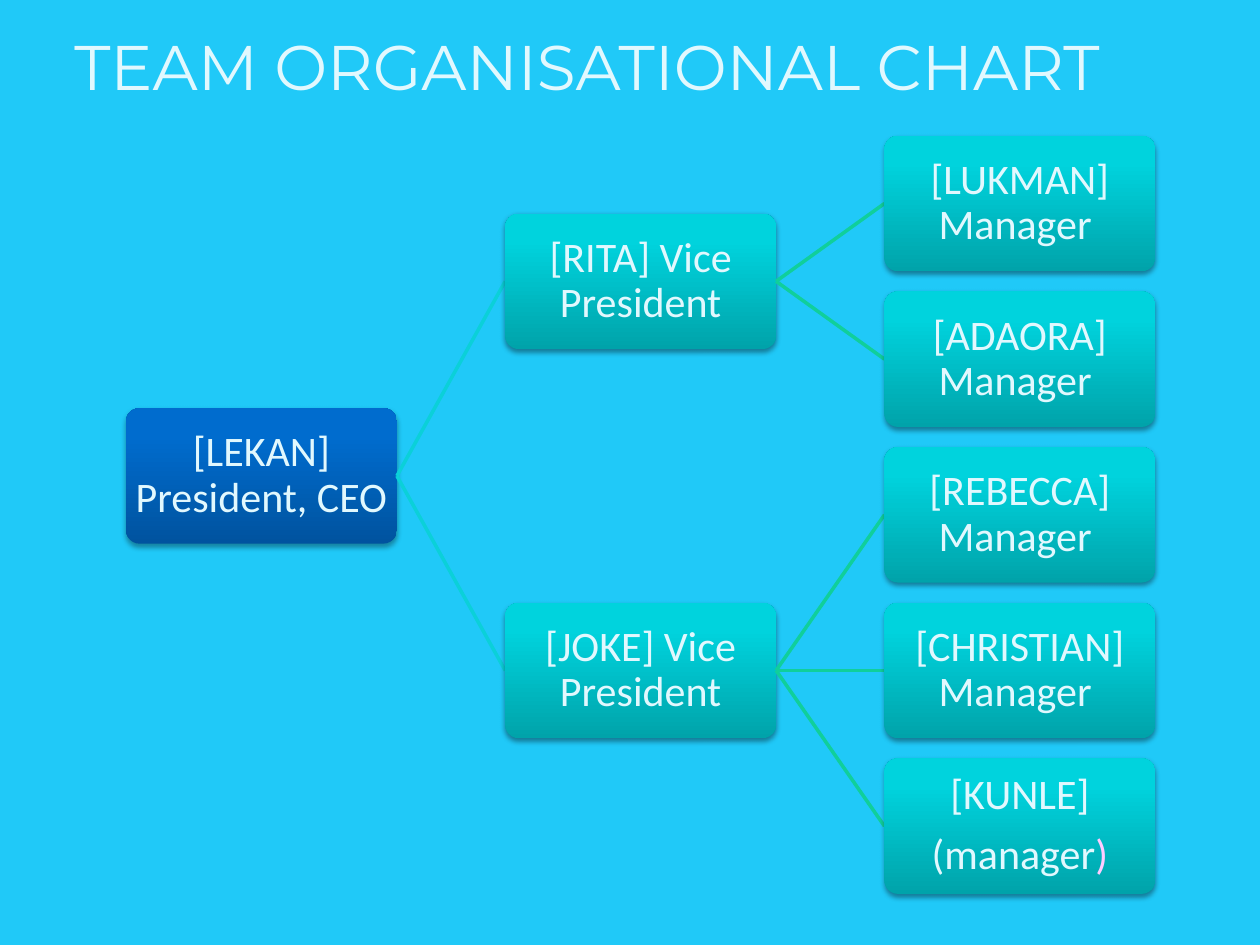
from dataclasses import dataclass

from lxml import etree
from pptx import Presentation
from pptx.dml.color import RGBColor
from pptx.enum import shapes, text
from pptx.oxml import ns
from pptx.util import Pt

COLORS = {
    "background": "20C9F8",
    "text": "E1F8FE",
    "accent": "FFCCFF",
    "president_link": "0BD0D9",
    "manager_link": "10CF9B",
}
BLUE = ("00539F", "006CCE", "006DCF")
TEAL = ("00A3AA", "00D3DD", "00D4DE")
STOPS = (0, 80, 100)

LEFT, TOP = 72, 77.6
COLUMN_STEP, ROW_STEP = 216.7, 88.95
BOX_WIDTH, BOX_HEIGHT = 154.8, 77.4


@dataclass
class Member:
    """One box; each paragraph is a list of (text, colour name) runs."""
    paragraphs: list
    reports: tuple = ()
    row: float = 0
    gradient: tuple = TEAL
    link: str = "manager_link"
    shadow: tuple = (1.6, 38)

    def __post_init__(self):
        if self.reports:
            self.row = (self.reports[0].row + self.reports[-1].row) / 2


def plain(label: str) -> list:
    return [[(label, "text")]]


def rgb(name: str) -> RGBColor:
    return RGBColor.from_string(COLORS[name])


def add_child(parent, tag: str, **attributes):
    return etree.SubElement(
        parent, ns.qn(tag), {key: str(value) for key, value in attributes.items()})


def set_gradient(shape, colors: tuple) -> None:
    """Fill upwards from the first colour, with three stops."""
    shape.fill.gradient()
    shape.fill.gradient_angle = 90
    stops = shape._element.spPr.find(".//" + ns.qn("a:gsLst"))
    for stop in list(stops):
        stops.remove(stop)
    for position, color in zip(STOPS, colors):
        stop = add_child(stops, "a:gs", pos=position * 1000)
        add_child(stop, "a:srgbClr", val=color)


def set_shadow(shape, distance: float, opacity: int) -> None:
    shape.shadow.inherit = False
    effects = shape._element.spPr.find(ns.qn("a:effectLst"))
    shadow = add_child(effects, "a:outerShdw", blurRad=Pt(3.1), dist=Pt(distance),
                       dir=90 * 60000, algn="ctr", rotWithShape=0)
    color = add_child(shadow, "a:srgbClr", val="000000")
    add_child(color, "a:alpha", val=opacity * 1000)


def add_box(slide, member: Member, left: float, top: float) -> None:
    shape = slide.shapes.add_shape(
        shapes.MSO_SHAPE.ROUNDED_RECTANGLE,
        Pt(left), Pt(top), Pt(BOX_WIDTH), Pt(BOX_HEIGHT))
    shape.adjustments[0] = 0.1
    set_gradient(shape, member.gradient)
    shape.line.fill.background()
    set_shadow(shape, *member.shadow)

    frame = shape.text_frame
    frame.word_wrap = True
    frame.vertical_anchor = text.MSO_ANCHOR.MIDDLE
    frame.margin_left = frame.margin_right = Pt(1.3)
    frame.margin_top = frame.margin_bottom = Pt(1.3)
    for index, runs in enumerate(member.paragraphs):
        paragraph = frame.add_paragraph() if index else frame.paragraphs[0]
        paragraph.alignment = text.PP_ALIGN.CENTER
        paragraph.line_spacing = 0.9
        paragraph.space_after = Pt(8.4)
        paragraph.font.size = Pt(24)
        paragraph.font.name = "Calibri"
        for words, color in runs:
            run = paragraph.add_run()
            run.text = words
            run.font.color.rgb = rgb(color)


def add_link(slide, start: tuple, end: tuple, color: str) -> None:
    link = slide.shapes.add_connector(
        shapes.MSO_CONNECTOR.STRAIGHT, *(Pt(value) for value in start + end))
    link.line.color.rgb = rgb(color)
    link.line.width = Pt(2)
    add_child(link._element.spPr, "a:effectLst")


def draw_branch(slide, member: Member, level: int = 0) -> None:
    """Draw a member, then the links and boxes of everyone below."""
    left = LEFT + level * COLUMN_STEP
    top = TOP + member.row * ROW_STEP
    add_box(slide, member, left, top)
    for report in member.reports:
        middle = TOP + report.row * ROW_STEP + BOX_HEIGHT / 2
        add_link(slide, (left + BOX_WIDTH, top + BOX_HEIGHT / 2),
                 (left + COLUMN_STEP, middle), member.link)
        draw_branch(slide, report, level + 1)


def set_title(slide, words: str) -> None:
    title = slide.shapes.title
    title.left, title.top, title.width, title.height = (
        Pt(value) for value in (35.3, 12.2, 661, 51.1))
    frame = title.text_frame
    frame.text = words
    frame.word_wrap = True
    frame.auto_size = text.MSO_AUTO_SIZE.NONE
    frame.vertical_anchor = text.MSO_ANCHOR.TOP
    paragraph = frame.paragraphs[0]
    paragraph.alignment = text.PP_ALIGN.LEFT
    paragraph.line_spacing = 1.0
    paragraph.space_before = Pt(0)
    paragraph.font.size = Pt(36)
    paragraph.font.name = "Montserrat"
    paragraph.font.color.rgb = rgb("text")


def main() -> None:
    presentation = Presentation()
    presentation.slide_width, presentation.slide_height = Pt(720), Pt(540)
    slide = presentation.slides.add_slide(presentation.slide_layouts.get_by_name("Title Only"))
    slide.background.fill.solid()
    slide.background.fill.fore_color.rgb = rgb("background")

    names = ("LUKMAN", "ADAORA", "REBECCA", "CHRISTIAN")
    managers = [Member(plain(f"[{name}] Manager "), row=row)
                for row, name in enumerate(names)]
    managers.append(Member(
        plain("[KUNLE]") + [[("(manager", "text"), (")", "accent")]], row=4))
    rita = Member(plain("[RITA] Vice President"), tuple(managers[:2]))
    joke = Member(plain("[JOKE] Vice President"), tuple(managers[2:]))
    president = Member(plain("[LEKAN] President, CEO"), (rita, joke), gradient=BLUE,
                       link="president_link", shadow=(1.8, 35))

    draw_branch(slide, president)
    set_title(slide, "TEAM ORGANISATIONAL CHART")
    presentation.save("out.pptx")


if __name__ == "__main__":
    main()
